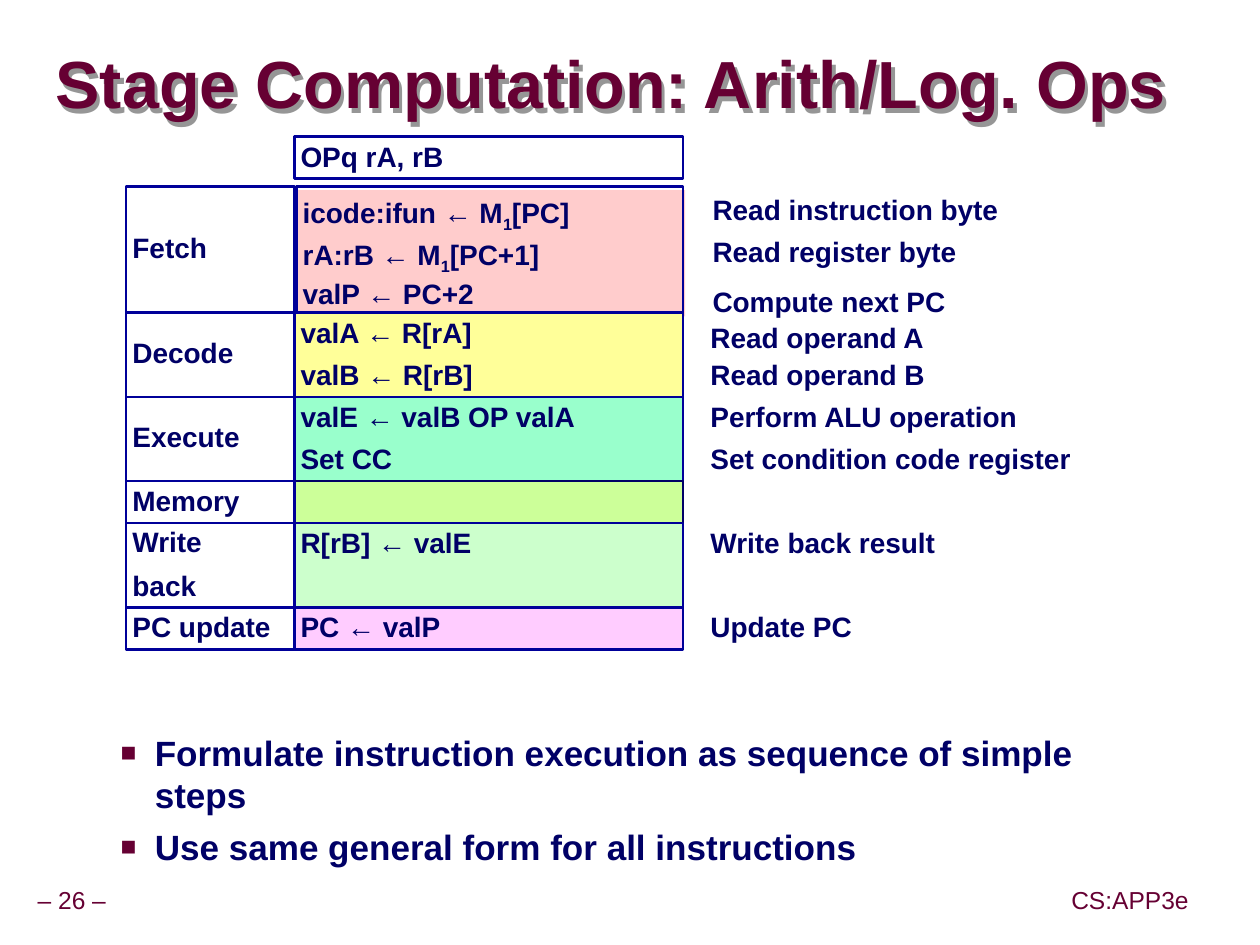
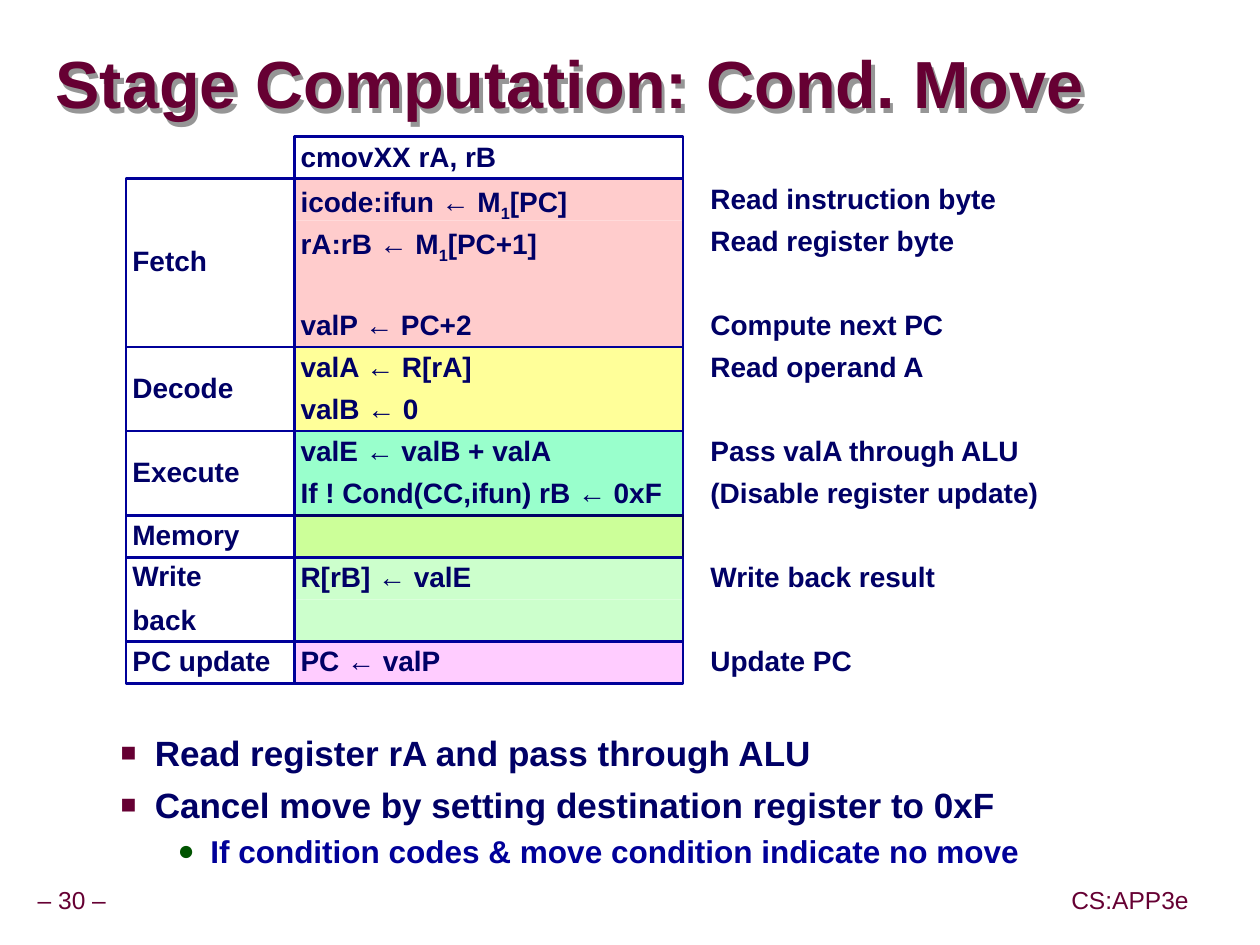
from lxml import etree
from pptx import Presentation
from pptx.dml.color import RGBColor
from pptx.enum.shapes import MSO_SHAPE
from pptx.enum.text import MSO_ANCHOR, PP_ALIGN
from pptx.oxml.ns import qn
from pptx.util import Pt

RECT = MSO_SHAPE.RECTANGLE
TOP, MIDDLE = MSO_ANCHOR.TOP, MSO_ANCHOR.MIDDLE
LEFT, CENTER = PP_ALIGN.LEFT, PP_ALIGN.CENTER

FONT = "Arial"
MAROON, NAVY, BLUE, GREEN, GREY = "660033", "000066", "000099", "005400", "969696"
PINK, YELLOW, MINT, LIME, PALE, LILAC = (
    "FFCCCC", "FFFF99", "99FFCC", "CCFF99", "CCFFCC", "FFCCFF")

# Table geometry in points
ROW_H, HEAD_Y = 24, 78
STAGE_X, STAGE_W = 72, 96
COMP_X, COMP_W = 168, 222
NOTE_X = 402

# Bullet levels: character, colour, size %, left margin, indent, text size, text colour,
# space before, line spacing
BULLETS = [
    ("■", MAROON, 75, 58.32, -19.44, 20, NAVY, 5.75, 1.0),
    ("●", GREEN, 90, 90, -18.72, 18, BLUE, 2, 1.07),
]

# Stages: label, fill, rows of (computation, note, extra note drop), shift of the rows.
# An underscore makes the next character a subscript.
FETCH = [("icode:ifun ← M_1[PC]", "Read instruction byte", 0),
         ("rA:rB ← M_1[PC+1]", "Read register byte", 0)]
NEXT_PC = "valP ← PC+2", "Compute next PC"
FINAL_STAGES = [
    ("Memory", LIME, [("", "", 0)], (0, 0)),
    ("Write\nback", PALE, [("R[rB] ← valE", "Write back result", 0), ("", "", 0)], (0, 0)),
    ("PC update", LILAC, [("PC ← valP", "Update PC", 0)], (0, 0)),
]
SLIDES = [
    dict(number=26, title="Stage Computation: Arith/Log. Ops",
         instruction="OPq rA, rB", top=106.5,
         stages=[
             ("Fetch", PINK, FETCH + [(*NEXT_PC, 4.5)], (1.2, 2)),
             ("Decode", YELLOW, [("valA ← R[rA]", "Read operand A", 2.8),
                                 ("valB ← R[rB]", "Read operand B", 0)], (0, 0)),
             ("Execute", MINT, [("valE ← valB OP valA", "Perform ALU operation", 0),
                                ("Set CC", "Set condition code register", 0)], (0, 0))],
         bullets=[(0, "Formulate instruction execution as sequence of simple steps"),
                  (0, "Use same general form for all instructions")]),
    dict(number=30, title="Stage Computation: Cond. Move",
         instruction="cmovXX rA, rB", top=102,
         stages=[
             ("Fetch", PINK, FETCH + [("", "", 0), (*NEXT_PC, 0)], (0, 0)),
             ("Decode", YELLOW, [("valA ← R[rA]", "Read operand A", 0),
                                 ("valB ← 0", "", 0)], (0, 0)),
             ("Execute", MINT, [("valE ← valB + valA", "Pass valA through ALU", 0),
                                ("If ! Cond(CC,ifun) rB ← 0xF",
                                 "(Disable register update)", 0)], (0, 0))],
         bullets=[(0, "Read register rA and pass through ALU"),
                  (0, "Cancel move by setting destination register to 0xF"),
                  (1, "If condition codes & move condition indicate no move")]),
]


def rgb(color):
    return RGBColor.from_string(color)


def add_run(p, text, size, color, bold, subscript=False):
    r = p.add_run()
    r.text = text
    r.font.name, r.font.size, r.font.bold = FONT, Pt(size), bold
    r.font.color.rgb = rgb(color)
    if subscript:
        r.font._element.set("baseline", "-25000")


def write(sp, text, size=16, color=NAVY, bold=True, align=LEFT, anchor=TOP,
          spacing=0.9, before=8, inset=3.6, wrap=True):
    """Put text into a shape, one paragraph a line."""
    tf = sp.text_frame
    tf.word_wrap, tf.vertical_anchor = wrap, anchor
    tf.margin_left = tf.margin_right = tf.margin_top = tf.margin_bottom = Pt(inset)
    for i, line in enumerate(text.split("\n")):
        p = tf.add_paragraph() if i else tf.paragraphs[0]
        p.alignment, p.line_spacing = align, spacing
        p.space_before = Pt(before if i else 0)
        plain, *parts = line.split("_")
        add_run(p, plain, size, color, bold)
        for part in parts:
            add_run(p, part[0], size, color, bold, subscript=True)
            add_run(p, part[1:], size, color, bold)


def add_text(s, x, y, w, h, text, **fmt):
    sp = s.shapes.add_textbox(Pt(x), Pt(y), Pt(w), Pt(h))
    write(sp, text, **fmt)
    return sp


def add_box(s, x, y, w, h, text="", fill=None, line=None, **fmt):
    sp = s.shapes.add_shape(RECT, Pt(x), Pt(y), Pt(w), Pt(h))
    sp.shadow.inherit = False
    if fill:
        sp.fill.solid()
        sp.fill.fore_color.rgb = rgb(fill)
    else:
        sp.fill.background()
    if line:
        sp.line.color.rgb, sp.line.width = rgb(line), Pt(1.5)
    else:
        sp.line.fill.background()
    if text:
        write(sp, text, **fmt)


def add_xml(parent, tag, **attrs):
    return etree.SubElement(parent, qn(tag), {k: str(v) for k, v in attrs.items()})


def add_title(s, text):
    sp = add_text(s, 31.7, 19.4, 685.4, 61.2, text, size=38, color=MAROON,
                  anchor=MIDDLE, spacing=0.87, inset=0)
    effects = add_xml(sp._element.spPr, "a:effectLst")
    shadow = add_xml(effects, "a:outerShdw", dist=Pt(3.5), dir=55 * 60000,
                     algn="ctr", rotWithShape=0)
    add_xml(shadow, "a:srgbClr", val=GREY)


def add_footer(s, number):
    for x, w, text in [(17.3, 47.5, f"– {number} –"), (607.7, 74.9, "CS:APP3e")]:
        add_text(s, x, 503, w, 22.5, text, size=14, color=MAROON, bold=False,
                 align=CENTER, anchor=MIDDLE, wrap=False)


def add_bullets(s, items):
    tf = s.shapes.add_textbox(Pt(23), Pt(414), Pt(653), Pt(92)).text_frame
    tf.word_wrap = True
    for i, (level, text) in enumerate(items):
        char, bullet_color, pct, margin, indent, size, color, before, spacing = BULLETS[level]
        p = tf.add_paragraph() if i else tf.paragraphs[0]
        p.level = level
        pPr = p._p.get_or_add_pPr()
        pPr.set("marL", str(Pt(margin)))
        pPr.set("indent", str(Pt(indent)))
        add_xml(add_xml(pPr, "a:buClr"), "a:srgbClr", val=bullet_color)
        add_xml(pPr, "a:buSzPct", val=pct * 1000)
        add_xml(pPr, "a:buFont", typeface=FONT)
        add_xml(pPr, "a:buChar", char=char)
        p.space_before, p.line_spacing = Pt(before if i else 0), spacing
        add_run(p, text, size, color, True)


def add_stage(s, y, label, fill, rows, shift):
    """Draw one stage and return the top of the next."""
    dx, dy = shift
    h = ROW_H * len(rows)
    row_tops = [y + dy + i * ROW_H for i in range(len(rows))]
    for top, (computation, _, _) in zip(row_tops, rows):
        add_box(s, COMP_X + dx, top, COMP_W, ROW_H, computation, fill=fill)
    add_box(s, COMP_X + dx, y, COMP_W - dx, h, line=NAVY if label == "Memory" else BLUE)
    add_box(s, STAGE_X, y, STAGE_W, h, label, line=BLUE, anchor=MIDDLE)
    for top, (_, note, drop) in zip(row_tops, rows):
        if note:
            add_text(s, NOTE_X + dx, top + drop, COMP_W, ROW_H, note)
    return y + h


def main():
    prs = Presentation()
    prs.slide_width, prs.slide_height = Pt(719.28), Pt(539.28)
    for content in SLIDES:
        s = prs.slides.add_slide(prs.slide_layouts[6])
        add_footer(s, content["number"])
        add_title(s, content["title"])
        add_bullets(s, content["bullets"])
        # Stage table
        add_box(s, COMP_X, HEAD_Y, COMP_W, ROW_H, content["instruction"], line=BLUE)
        y = content["top"]
        for stage in content["stages"] + FINAL_STAGES:
            y = add_stage(s, y, *stage)
    prs.save("out.pptx")


if __name__ == "__main__":
    main()
